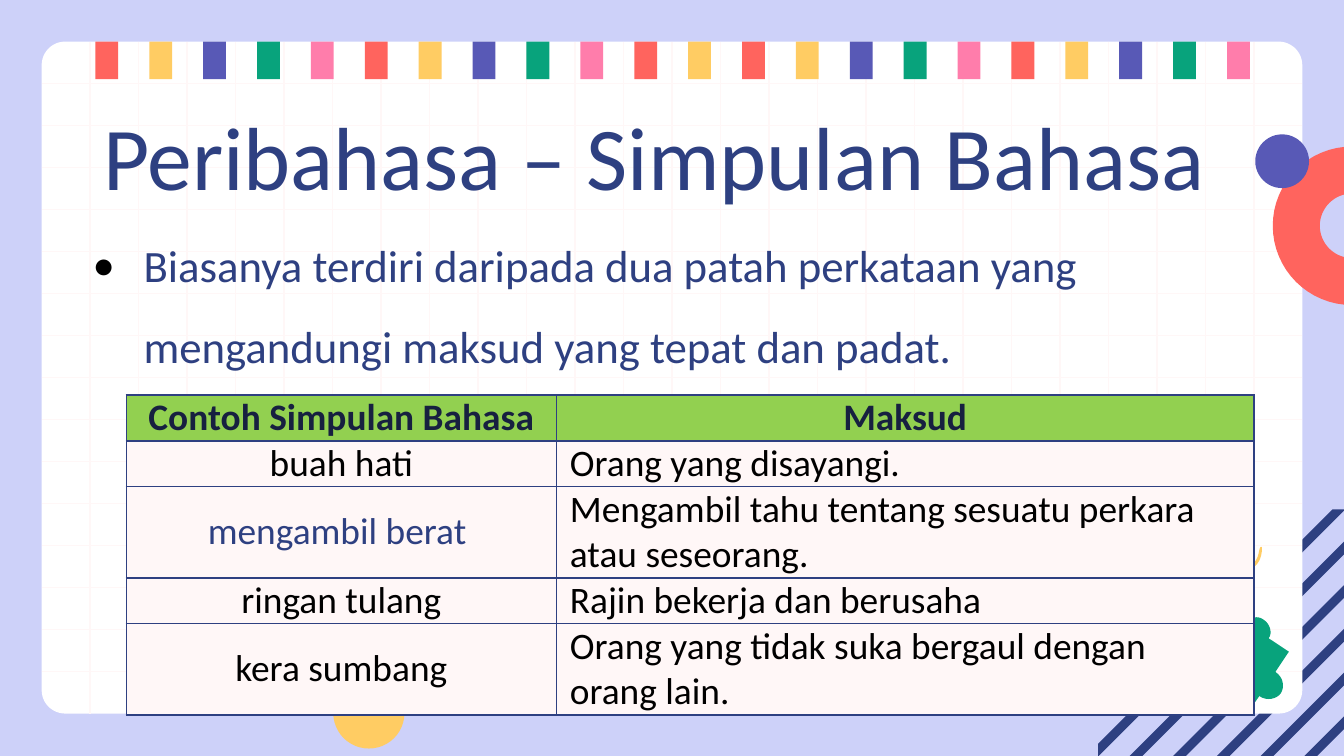
from math import cos, pi, sin

from lxml import etree
from pptx import Presentation
from pptx.dml.color import RGBColor
from pptx.enum.shapes import MSO_CONNECTOR, MSO_SHAPE
from pptx.enum.text import MSO_ANCHOR, PP_ALIGN
from pptx.oxml.ns import qn
from pptx.util import Inches, Pt

RECT, ROUND, OVAL = MSO_SHAPE.RECTANGLE, MSO_SHAPE.ROUNDED_RECTANGLE, MSO_SHAPE.OVAL
LINE = MSO_CONNECTOR.STRAIGHT
LEFT, CENTER = PP_ALIGN.LEFT, PP_ALIGN.CENTER
TOP, MIDDLE = MSO_ANCHOR.TOP, MSO_ANCHOR.MIDDLE

NAVY, INK, BLACK = "2E4081", "172040", "000000"
WHITE, BLUSH, LILAC, LIME = "FFFFFF", "FFF7F7", "CDD1F9", "92D050"
RED, YELLOW, BLUE, GREEN, PINK = "FF645E", "FFCC63", "5859B6", "08A37C", "FF7DAB"
WIDE = 10
HIGH = WIDE * 9 / 16

ROWS = [
    ("Contoh Simpulan Bahasa", "Maksud", 1),
    ("buah hati", "Orang yang disayangi.", 1),
    ("mengambil berat ", "Mengambil tahu tentang sesuatu perkara atau seseorang.", 2),
    ("ringan tulang", "Rajin bekerja dan berusaha", 1),
    ("kera sumbang", "Orang yang tidak suka bergaul dengan orang lain.", 2),
]

BADGE = [[
    (0.58, 0.03), (0.54, 0, 0.48, 0.01, 0.44, 0.06), (0.31, -0.03), (0.21, 0.12),
    (0.25, 0.15, 0.26, 0.21, 0.23, 0.26), (0.2, 0.31, 0.14, 0.32, 0.09, 0.3),
    (0, 0.43), (0.14, 0.51), (0.1, 0.57, 0.11, 0.64, 0.16, 0.67),
    (0.21, 0.7, 0.28, 0.69, 0.32, 0.63), (0.46, 0.73), (0.55, 0.6),
    (0.61, 0.64, 0.68, 0.62, 0.71, 0.58), (0.74, 0.53, 0.73, 0.46, 0.67, 0.42),
    (0.77, 0.27), (0.62, 0.17), (0.65, 0.13, 0.63, 0.06, 0.58, 0.03),
]]
CURL = [
    [(0.16, 0.05), (0.19, 0.06, 0.2, 0.09, 0.18, 0.14),
     (0.17, 0.13, 0.15, 0.12, 0.14, 0.1), (0.14, 0.07, 0.14, 0.05, 0.16, 0.05)],
    [(0.33, 0), (0.31, 0.01, 0.33, 0.15, 0.2, 0.14),
     (0.22, 0.11, 0.21, 0.02, 0.16, 0.02), (0.12, 0.03, 0.1, 0.11, 0.17, 0.16),
     (0.15, 0.2, 0.05, 0.23, 0.02, 0.16), (0.02, 0.15, 0, 0.15, 0, 0.16),
     (0.02, 0.23, 0.13, 0.27, 0.19, 0.17), (0.3, 0.18, 0.34, 0.09, 0.34, 0.01),
     (0.34, 0, 0.34, 0, 0.33, 0)],
]


def paint(hue):
    return RGBColor.from_string(hue)


def dye(item, hue):
    item.shadow.inherit = False
    item.fill.solid()
    item.fill.fore_color.rgb = paint(hue)
    item.line.fill.background()
    return item


def block(slide, kind, box, hue):
    return dye(slide.shapes.add_shape(kind, *map(Inches, box)), hue)


def rule(slide, *ends):
    line = slide.shapes.add_connector(LINE, *map(Inches, ends))
    line.line.color.rgb = paint(BLUSH)
    line.line.width = Pt(0.75)
    etree.SubElement(line._element.spPr, qn("a:effectLst"))


def trace(slide, loops, hue):
    pen = None
    for loop in loops:
        dots = [(Inches(x), Inches(y)) for x, y in loop]
        if pen is None:
            pen = slide.shapes.build_freeform(*dots[0])
        else:
            pen.move_to(*dots[0])
        pen.add_line_segments(dots[1:], close=True)
    return dye(pen.convert_to_shape(), hue)


def bend(steps, left, top, count=8):
    dots = [steps[0]]
    for step in steps[1:]:
        if len(step) == 2:
            dots.append(step)
            continue
        start = dots[-1]
        for i in range(1, count + 1):
            t = i / count
            u = 1 - t
            dots.append(tuple(
                u**3 * start[k] + 3 * u * u * t * step[k]
                + 3 * u * t * t * step[k + 2] + t**3 * step[k + 4]
                for k in (0, 1)
            ))
    return [(left + x, top + y) for x, y in dots]


def say(frame, text, size=20, hue=BLACK, bold=False, align=LEFT, anchor=TOP,
        space=None, bullet=None):
    frame.word_wrap = True
    frame.vertical_anchor = anchor
    para = frame.paragraphs[0]
    if bullet:
        props = para._p.get_or_add_pPr()
        props.set("marL", str(Inches(0.38)))
        props.set("indent", str(-Inches(0.38)))
        tint = etree.SubElement(props, qn("a:buClr"))
        etree.SubElement(tint, qn("a:srgbClr"), val=BLACK)
        etree.SubElement(props, qn("a:buFont"), typeface="Calibri")
        etree.SubElement(props, qn("a:buChar"), char=bullet)
    para.alignment = align
    if space:
        para.line_spacing = space
    run = para.add_run()
    run.text = text
    run.font.name = "Calibri"
    run.font.size = Pt(size)
    run.font.bold = bold
    run.font.color.rgb = paint(hue)


def label(slide, box, text, **style):
    frame = slide.shapes.add_textbox(*map(Inches, box)).text_frame
    frame.margin_left = frame.margin_right = Inches(0.1)
    frame.margin_top = frame.margin_bottom = Inches(0.1)
    say(frame, text, **style)


def stripes(slide, box, count=7, step=0.325, thick=0.095):
    left, top, wide, high = box
    right, base = left + wide, top + high
    for i in range(count):
        near = right + 5.33 - i * step
        far = near + thick
        dots = [(x, total - x) for x, total in (
            (min(right, near - top), near), (max(left, near - base), near),
            (max(left, far - base), far), (min(right, far - top), far))]
        if near < right + top < far:
            dots.append((right, top))
        if near < left + base < far:
            dots.insert(2, (left, base))
        trace(slide, [dots], NAVY)


def card(slide, box, cols=26, rows=16):
    left, top, wide, high = box
    block(slide, ROUND, box, WHITE).adjustments[0] = 0.035
    for i in range(1, rows):
        y = top + high * i / rows
        rule(slide, left, y, left + wide, y)
    for i in range(1, cols):
        x = left + wide * i / cols
        rule(slide, x, top, x, top + high)


def flags(slide, box, thick=0.17):
    left, top, wide, high = box
    hues = [RED, YELLOW, BLUE, GREEN, PINK] * 2
    hues = hues + [RED, YELLOW] + hues
    step = (wide - thick) / (len(hues) - 1)
    for i, hue in enumerate(hues):
        block(slide, RECT, (left + i * step, top, thick, high), hue)


def arch(slide, box, inner=0.24, count=32):
    left, top, wide, high = box
    x, y = left + wide, top + high / 2
    turns = [pi / 2 + pi * i / count for i in range(count + 1)]
    rim = [(x + wide * cos(t), y + wide * sin(t)) for t in turns]
    hole = [(x + inner * cos(t), y + inner * sin(t)) for t in reversed(turns)]
    trace(slide, [rim + hole], RED)


def edge(cell):
    props = cell._tc.get_or_add_tcPr()
    for i, side in enumerate(("lnL", "lnR", "lnT", "lnB")):
        line = etree.Element(qn("a:" + side), w=str(Pt(1)))
        fill = etree.SubElement(line, qn("a:solidFill"))
        etree.SubElement(fill, qn("a:srgbClr"), val=NAVY)
        props.insert(i, line)


def chart(slide, box, widths=(3.2, 5.19), unit=0.34):
    grid = slide.shapes.add_table(len(ROWS), 2, *map(Inches, box)).table
    grid.horz_banding = False
    for col, wide in zip(grid.columns, widths):
        col.width = Inches(wide)
    for r, (*texts, lines) in enumerate(ROWS):
        grid.rows[r].height = Inches(unit * lines)
        for c, text in enumerate(texts):
            cell = grid.cell(r, c)
            cell.margin_left = cell.margin_right = Inches(0.1)
            cell.margin_top = cell.margin_bottom = 0
            cell.vertical_anchor = MIDDLE
            cell.fill.solid()
            cell.fill.fore_color.rgb = paint(BLUSH if r else LIME)
            edge(cell)
            hue = INK if r == 0 else NAVY if (r, c) == (2, 0) else BLACK
            say(cell.text_frame, text, hue=hue, bold=r == 0, anchor=MIDDLE,
                align=LEFT if r and c else CENTER)


def main():
    deck = Presentation()
    deck.slide_width, deck.slide_height = Inches(WIDE), Inches(HIGH)
    slide = deck.slides.add_slide(deck.slide_layouts[6])
    slide.background.fill.solid()
    slide.background.fill.fore_color.rgb = paint(LILAC)
    stripes(slide, (8.17, 3.79, 1.83, HIGH - 3.79))
    card(slide, (0.31, 0.31, 9.38, 5))
    flags(slide, (0.71, 0.31, 8.59, 0.28))
    arch(slide, (9.47, 1.09, 0.59, 1.18))
    block(slide, OVAL, (2.48, 5.04, 0.53, 0.53), YELLOW)
    block(slide, OVAL, (9.34, 1, 0.4, 0.4), BLUE)
    trace(slide, [bend(loop, 8.82, 4.58) for loop in BADGE], GREEN)
    trace(slide, [bend(loop, 9.05, 4.07) for loop in CURL], YELLOW)
    label(slide, (0.67, 0.65, 8.43, 0.63), "Peribahasa – Simpulan Bahasa",
          size=48, hue=NAVY)
    label(slide, (0.59, 1.47, 8.95, 3.54),
          "Biasanya terdiri daripada dua patah perkataan yang mengandungi "
          "maksud yang tepat dan padat.",
          size=24, hue=NAVY, space=1.5, bullet="•")
    chart(slide, (0.94, 2.94, 8.39, 2.38))
    deck.save("out.pptx")


if __name__ == "__main__":
    main()
